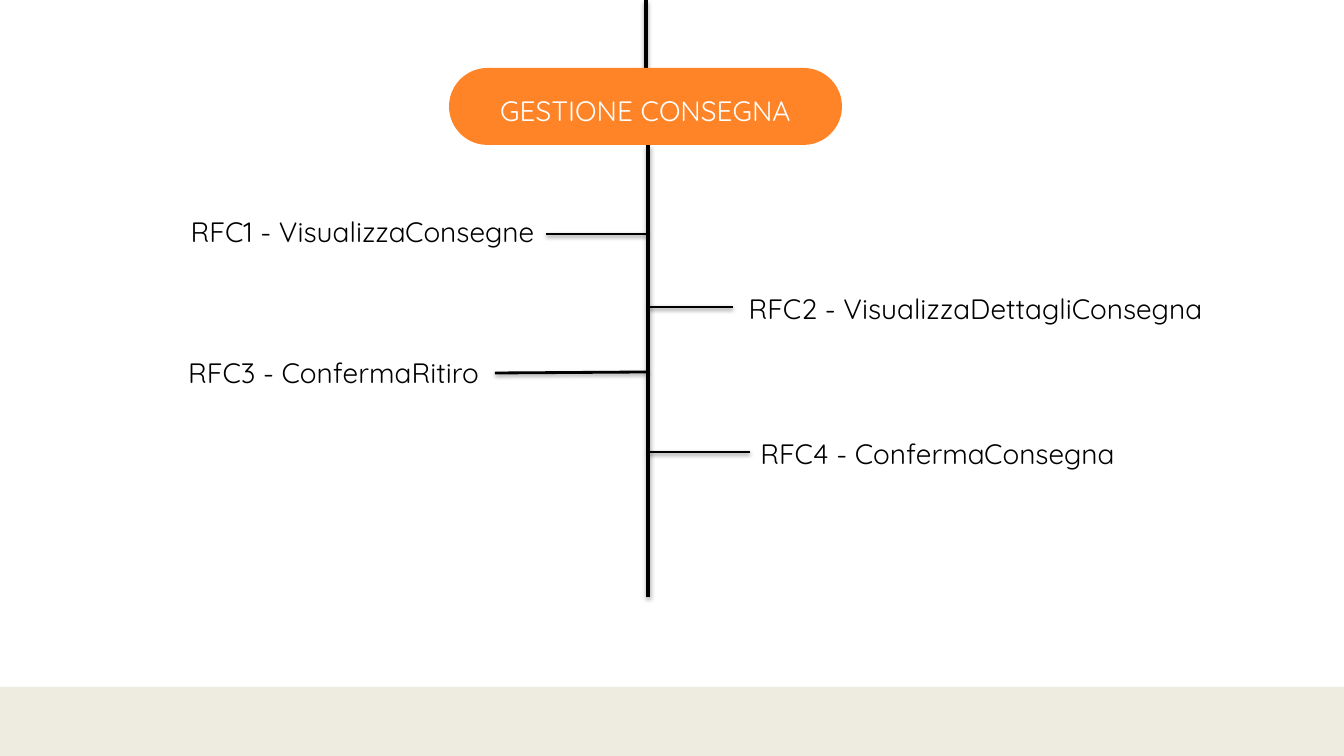
from lxml.etree import SubElement as Sub
from pptx import Presentation
from pptx.dml.color import RGBColor as Rgb
from pptx.enum.shapes import MSO_CONNECTOR as Conn, MSO_SHAPE as Form
from pptx.enum.text import MSO_ANCHOR as Anchor, MSO_AUTO_SIZE as Auto, PP_ALIGN as Align
from pptx.oxml.ns import qn
from pptx.util import Emu, Pt

HUES = {"ink": "000000", "paper": "FFFFFF", "pill": "FF8427", "band": "EEECE1"}
FONT = "Quicksand"
TRUNK = 648
ROW = 124

LEAVES = [
    ("RFC1 - VisualizzaConsegne", (121, 169, 483), (546, 234, 234)),
    ("RFC2 - VisualizzaDettagliConsegna", (683, 246, 585), (733, 307, 307)),
    ("RFC3 - ConfermaRitiro", (92, 310, 483), (495, 373, 372)),
    ("RFC4 - ConfermaConsegna", (696, 391, 483), (750, 452, 452)),
]


def px(num):
    return Emu(round(num * 914400 / 100.8))


def hue(name):
    return Rgb.from_string(HUES[name])


def add_form(slide, form, box, name):
    shape = slide.shapes.add_shape(form, *map(px, box))
    shape.shadow.inherit = False
    shape.fill.solid()
    shape.fill.fore_color.rgb = hue(name)
    shape.line.fill.background()
    return shape


def add_line(slide, start, end, width, drop, alpha):
    line = slide.shapes.add_connector(Conn.STRAIGHT, *map(px, start + end))
    line.line.color.rgb = hue("ink")
    line.line.width = Pt(width)
    effect = Sub(line._element.spPr, qn("a:effectLst"))
    shade = Sub(effect, qn("a:outerShdw"), blurRad=str(Pt(3.1)), dist=str(Pt(drop)),
                dir="5400000", rotWithShape="0")
    tint = Sub(shade, qn("a:srgbClr"), val=HUES["ink"])
    Sub(tint, qn("a:alpha"), val=str(alpha * 1000))


def set_text(shape, text, name):
    frame = shape.text_frame
    frame.text = text
    frame.word_wrap = True
    frame.auto_size = Auto.NONE
    frame.vertical_anchor = Anchor.MIDDLE
    frame.margin_left = frame.margin_right = px(10)
    frame.margin_top = frame.margin_bottom = px(10)
    para = frame.paragraphs[0]
    para.alignment = Align.CENTER
    font = para.runs[0].font
    font.name = FONT
    font.size = Pt(20)
    font.color.rgb = hue(name)


def add_label(slide, text, left, top, width):
    box = slide.shapes.add_textbox(px(left), px(top), px(width), px(ROW))
    set_text(box, text, "ink")


def add_title(slide, text, box):
    title = slide.shapes.title
    title.left, title.top, title.width, title.height = map(px, box)
    set_text(title, text, "paper")
    slide.shapes._spTree.append(title._element)


def main():
    deck = Presentation()
    deck.slide_width, deck.slide_height = px(1344), px(756)
    slide = deck.slides.add_slide(deck.slide_layouts[5])
    slide.background.fill.solid()
    slide.background.fill.fore_color.rgb = hue("paper")

    add_form(slide, Form.RECTANGLE, (0, 687, 1344, 69), "band")
    add_line(slide, (TRUNK, 145), (TRUNK, 597), 3, 1.8, 35)
    add_line(slide, (646, 0), (646, 68), 3, 1.8, 35)
    for text, place, (tip, outer, inner) in LEAVES:
        add_line(slide, (TRUNK, inner), (tip, outer), 2, 1.6, 38)
        add_label(slide, text, *place)

    pill = add_form(slide, Form.ROUNDED_RECTANGLE, (449, 68, 393, 77), "pill")
    pill.adjustments[0] = 0.5
    add_title(slide, "GESTIONE CONSEGNA", (404, 48, 483, ROW))
    deck.save("out.pptx")


if __name__ == "__main__":
    main()
